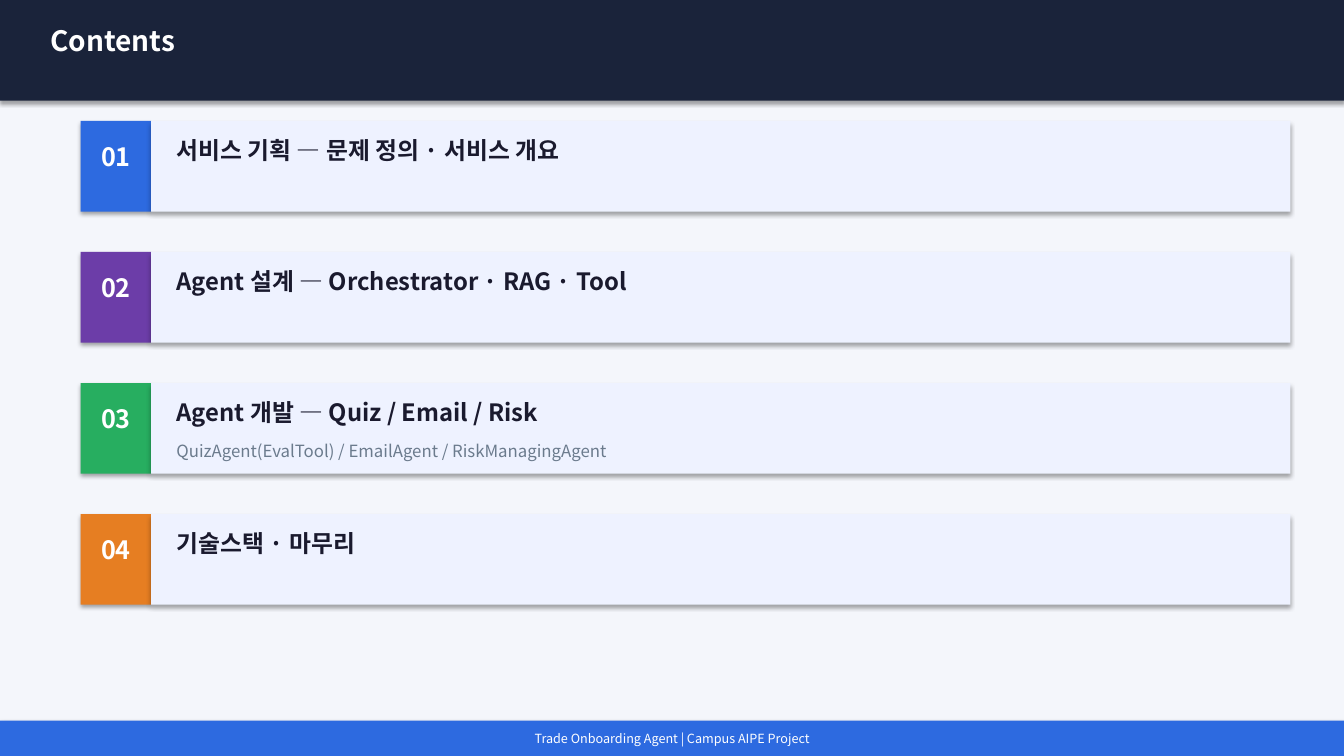
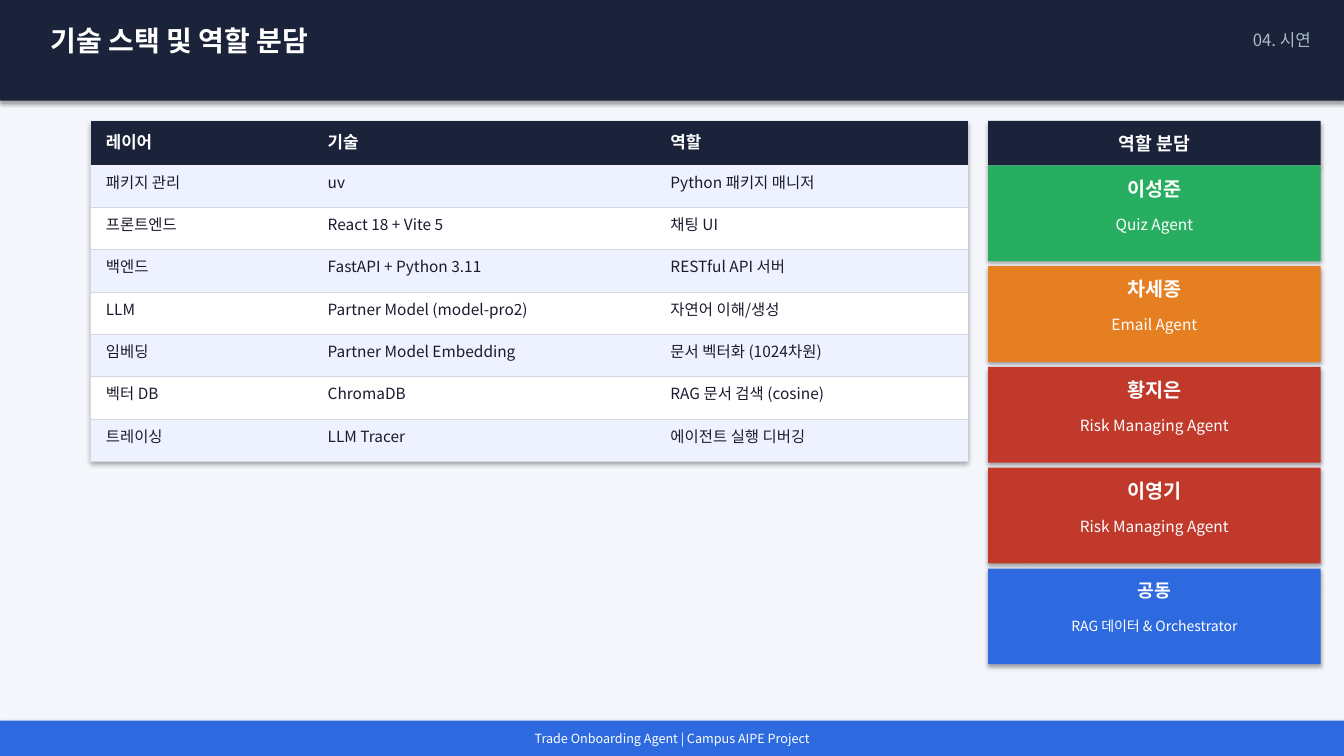
from lxml import etree
from pptx import Presentation
from pptx.dml.color import RGBColor
from pptx.enum.shapes import MSO_SHAPE
from pptx.enum.text import MSO_ANCHOR, MSO_AUTO_SIZE, PP_ALIGN
from pptx.oxml.ns import qn
from pptx.util import Inches, Pt

RECTANGLE = MSO_SHAPE.RECTANGLE
TOP = MSO_ANCHOR.TOP
NO_AUTOFIT = MSO_AUTO_SIZE.NONE
LEFT, CENTER, RIGHT = PP_ALIGN.LEFT, PP_ALIGN.CENTER, PP_ALIGN.RIGHT

# Shared look
FONT = "Noto Sans CJK KR"
WIDTH, HEIGHT = 13.33, 7.5
BACKGROUND, NAVY, PALE, WHITE = "F4F6FB", "1A233A", "EEF2FF", "FFFFFF"
INK, GRAY, MIST, RULE = "1A1A2E", "6B7B8D", "AABBCC", "D3D7E3"
BLUE, PURPLE, GREEN = "2D6AE0", "6C3DA8", "27AE60"
ORANGE, RED = "E67E22", "C0392B"
FOOTER = "Trade Onboarding Agent | Campus AIPE Project"
PLAIN_TABLE_STYLE = "{2D5ABB26-0587-4C30-8999-92F81FD0307C}"
CONTENT_TOP = 1.2
HEADER_HEIGHT = 0.44

# Slide content
CHAPTERS = [
    (BLUE, "서비스 기획 — 문제 정의 · 서비스 개요", None),
    (PURPLE, "Agent 설계 — Orchestrator · RAG · Tool", None),
    (GREEN, "Agent 개발 — Quiz / Email / Risk",
     "QuizAgent(EvalTool) / EmailAgent / RiskManagingAgent"),
    (ORANGE, "기술스택 · 마무리", None),
]
STACK = [
    ("레이어", "기술", "역할"),
    ("패키지 관리", "uv", "Python 패키지 매니저"),
    ("프론트엔드", "React 18 + Vite 5", "채팅 UI"),
    ("백엔드", "FastAPI + Python 3.11", "RESTful API 서버"),
    ("LLM", "Partner Model (model-pro2)", "자연어 이해/생성"),
    ("임베딩", "Partner Model Embedding", "문서 벡터화 (1024차원)"),
    ("벡터 DB", "ChromaDB", "RAG 문서 검색 (cosine)"),
    ("트레이싱", "LLM Tracer", "에이전트 실행 디버깅"),
]
MEMBERS = [
    (GREEN, "이성준", 14, "Quiz Agent", 11),
    (ORANGE, "차세종", 14, "Email Agent", 11),
    (RED, "황지은", 14, "Risk Managing Agent", 11),
    (RED, "이영기", 14, "Risk Managing Agent", 11),
    (BLUE, "공동", 13, "RAG 데이터 & Orchestrator", 10),
]


def color(value):
    return RGBColor.from_string(value)


def write(paragraph, text, size, hue, bold=False, align=LEFT):
    paragraph.alignment = align
    run = paragraph.add_run()
    run.text = text
    run.font.name = FONT
    run.font.size = Pt(size)
    run.font.bold = bold
    run.font.color.rgb = color(hue)


def set_frame(frame, left=0.1, top=0.05):
    frame.word_wrap = True
    frame.auto_size = NO_AUTOFIT
    frame.vertical_anchor = TOP
    frame.margin_left, frame.margin_right = Inches(left), Inches(0.1)
    frame.margin_top, frame.margin_bottom = Inches(top), Inches(0)


def add_panel(slide, left, top, width, height, fill, inset=(0.1, 0.05)):
    """Add a borderless rectangle that keeps the theme shadow."""
    shape = slide.shapes.add_shape(
        RECTANGLE, Inches(left), Inches(top), Inches(width), Inches(height))
    shape.fill.solid()
    shape.fill.fore_color.rgb = color(fill)
    shape.line.fill.background()
    set_frame(shape.text_frame, *inset)
    return shape.text_frame


def add_slide(presentation, title, section=None):
    """Add a slide with its header band, title, section label and footer."""
    slide = presentation.slides.add_slide(presentation.slide_layouts[5])
    slide.background.fill.solid()
    slide.background.fill.fore_color.rgb = color(BACKGROUND)
    add_panel(slide, 0, 0, WIDTH, 1, NAVY)

    heading = slide.shapes.title
    heading.left, heading.top = Inches(0.4), Inches(0.18)
    heading.width, heading.height = Inches(10), Inches(0.65)
    set_frame(heading.text_frame)
    write(heading.text_frame.paragraphs[0], title, 20, WHITE, True)
    slide.shapes.element.append(heading.element)  # in front of the band

    if section:
        label = slide.shapes.add_textbox(
            Inches(10.5), Inches(0.25), Inches(2.6), Inches(0.5))
        set_frame(label.text_frame)
        write(label.text_frame.paragraphs[0], section, 12, MIST, align=RIGHT)

    footer = add_panel(slide, 0, HEIGHT - 0.35, WIDTH, 0.35, BLUE, (0.1, 0.1))
    write(footer.paragraphs[0], FOOTER, 9, WHITE, align=CENTER)
    return slide


def add_chapter(slide, number, top, fill, title, detail):
    badge = add_panel(slide, 0.8, top, 0.7, 0.9, fill, (0.1, 0.2))
    write(badge.paragraphs[0], f"{number:02}", 18, WHITE, True, CENTER)
    bar = add_panel(slide, 1.5, top, 11.3, 0.9, PALE, (0.25, 0.15))
    write(bar.paragraphs[0], title, 17, INK, True)
    if detail:
        paragraph = bar.add_paragraph()
        paragraph.space_before = Pt(10)
        write(paragraph, detail, 12, GRAY)


def add_bottom_rule(cell):
    properties = cell._tc.get_or_add_tcPr()
    line = etree.SubElement(properties, qn("a:lnB"), w=str(Pt(0.75)))
    fill = etree.SubElement(line, qn("a:solidFill"))
    etree.SubElement(fill, qn("a:srgbClr"), val=RULE)


def add_stack_table(slide, left, top, widths, row_height):
    height = HEADER_HEIGHT + row_height * (len(STACK) - 1)
    add_panel(slide, left, top, sum(widths), height, PALE)
    frame = slide.shapes.add_table(
        len(STACK), len(widths), Inches(left), Inches(top),
        Inches(sum(widths)), Inches(height))
    for style in frame.element.iter(qn("a:tableStyleId")):
        style.text = PLAIN_TABLE_STYLE
    table = frame.table
    for column, width in zip(table.columns, widths):
        column.width = Inches(width)
    for index, values in enumerate(STACK):
        header = index == 0
        table.rows[index].height = Inches(HEADER_HEIGHT if header else row_height)
        fill = NAVY if header else (PALE if index % 2 else WHITE)
        for cell, text in zip(table.rows[index].cells, values):
            cell.margin_left = Inches(0.15)
            cell.margin_top = Inches(0.08 if header else 0.05)
            cell.vertical_anchor = TOP
            if not header:
                add_bottom_rule(cell)
            cell.fill.solid()
            cell.fill.fore_color.rgb = color(fill)
            write(cell.text_frame.paragraphs[0], text, 12 if header else 11,
                  WHITE if header else INK, header)


def add_member(slide, left, top, width, fill, name, name_size, role, role_size):
    card = add_panel(slide, left, top, width, 0.95, fill, (0.1, 0.11))
    write(card.paragraphs[0], name, name_size, WHITE, True, CENTER)
    paragraph = card.add_paragraph()
    paragraph.space_before = Pt(10.5 if name_size == 14 else 11.5)
    write(paragraph, role, role_size, WHITE, align=CENTER)


def build_contents(presentation):
    slide = add_slide(presentation, "Contents")
    for index, chapter in enumerate(CHAPTERS):
        add_chapter(slide, index + 1, CONTENT_TOP + 1.3 * index, *chapter)


def build_stack_and_roles(presentation):
    slide = add_slide(presentation, "기술 스택 및 역할 분담", "04. 시연")
    add_stack_table(slide, 0.9, CONTENT_TOP, (2.2, 3.4, 3.1), 0.42)

    left, width = 9.8, 3.3
    header = add_panel(
        slide, left, CONTENT_TOP, width, HEADER_HEIGHT, NAVY, (0.1, 0.11))
    write(header.paragraphs[0], "역할 분담", 13, WHITE, True, CENTER)
    for index, member in enumerate(MEMBERS):
        top = CONTENT_TOP + HEADER_HEIGHT + index
        add_member(slide, left, top, width, *member)


def main():
    presentation = Presentation()
    presentation.slide_width = Inches(WIDTH)
    presentation.slide_height = Inches(HEIGHT)
    build_contents(presentation)
    build_stack_and_roles(presentation)
    presentation.save("out.pptx")


if __name__ == "__main__":
    main()
